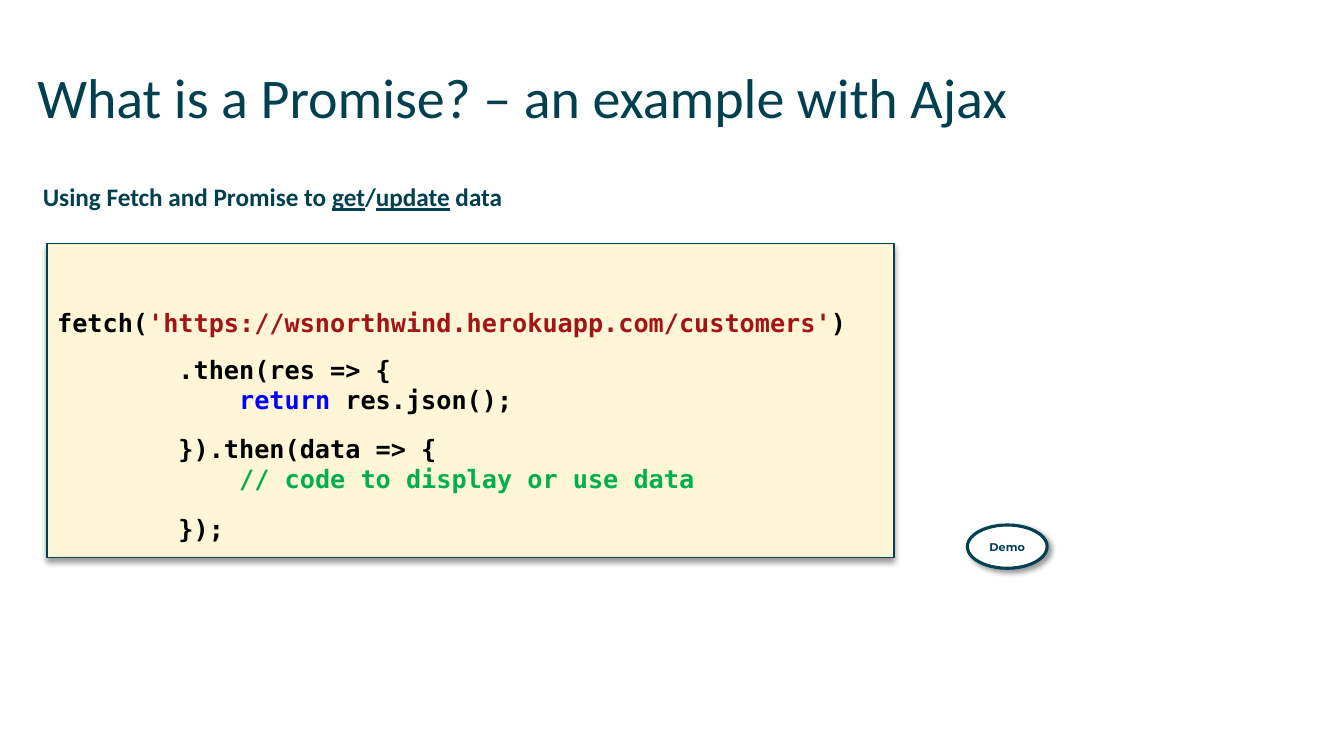
import lxml.etree
import pptx
import pptx.dml.color
import pptx.enum.shapes
import pptx.enum.text
import pptx.oxml.ns
import pptx.util

Cm = pptx.util.Cm
Pt = pptx.util.Pt
SHAPES = pptx.enum.shapes.MSO_SHAPE
ANCHOR = pptx.enum.text.MSO_ANCHOR
ALIGN = pptx.enum.text.PP_ALIGN

TEAL, WHITE, CREAM, BLACK = "004050", "FFFFFF", "FEF6D7", "000000"
STRING, KEYWORD, COMMENT = "A31515", "0000FF", "00B050"


def color(value):
    return pptx.dml.color.RGBColor.from_string(value)


def add_shadow(shape, angle):
    """Give the shape a soft black shadow cast towards angle, in degrees."""
    shape.shadow.inherit = False
    qualified = pptx.oxml.ns.qn
    effects = shape._element.spPr.find(qualified("a:effectLst"))
    shadow = lxml.etree.SubElement(
        effects, qualified("a:outerShdw"), blurRad=str(Pt(4)),
        dist=str(Pt(3)), dir=str(angle * 60000), algn="ctr", rotWithShape="0")
    black = lxml.etree.SubElement(shadow, qualified("a:srgbClr"), val=BLACK)
    lxml.etree.SubElement(black, qualified("a:alpha"), val="40000")


class SlideBuilder:
    """Holds the slide and the text style shared by its elements."""

    def __init__(self, slide):
        self.slide = slide
        self.style = {"name": "Calibri", "size": Pt(18), "bold": True,
                      "color": TEAL}

    def add_runs(self, paragraph, runs, **style):
        """Add (text, changes) runs, each formatted by style plus its changes."""
        for text, changes in runs:
            run = paragraph.add_run()
            run.text = text
            values = {**self.style, **style, **changes}
            run.font.color.rgb = color(values.pop("color"))
            for attribute, value in values.items():
                setattr(run.font, attribute, value)

    def text(self, box, runs, **style):
        frame = self.slide.shapes.add_textbox(*map(Cm, box)).text_frame
        frame.word_wrap = True
        for side in ("left", "top", "right", "bottom"):
            setattr(frame, f"margin_{side}", 0)
        self.add_runs(frame.paragraphs[0], runs, **style)

    def panel(self, kind, box, fill, line_width, shadow_angle):
        """Add an outlined shape with a shadow and return its text frame."""
        shape = self.slide.shapes.add_shape(kind, *map(Cm, box))
        shape.fill.solid()
        shape.fill.fore_color.rgb = color(fill)
        shape.line.color.rgb = color(TEAL)
        shape.line.width = Pt(line_width)
        add_shadow(shape, shadow_angle)
        shape.text_frame.word_wrap = True
        return shape.text_frame

    def code(self, box, lines):
        """Add a code panel; lines are (space before, runs) pairs."""
        frame = self.panel(SHAPES.RECTANGLE, box, CREAM, 1, 90)
        frame.vertical_anchor = ANCHOR.TOP
        frame.margin_top = Cm(1.61)
        for index, (space, runs) in enumerate(lines):
            paragraph = frame.add_paragraph() if index else frame.paragraphs[0]
            paragraph.alignment = ALIGN.LEFT
            paragraph.space_before = Pt(space)
            self.add_runs(paragraph, runs, name="DejaVu Sans Mono", color=BLACK)

    def badge(self, box, label):
        frame = self.panel(SHAPES.OVAL, box, WHITE, 2.25, 45)
        frame.vertical_anchor = ANCHOR.MIDDLE
        frame.paragraphs[0].alignment = ALIGN.CENTER
        self.add_runs(frame.paragraphs[0], [(label, {})],
                      name="Montserrat", size=Pt(8))


def main():
    presentation = pptx.Presentation()
    presentation.slide_width = Cm(33.87)
    presentation.slide_height = Cm(19.05)
    slide = presentation.slides.add_slide(presentation.slide_layouts[6])
    builder = SlideBuilder(slide)

    builder.text((0.94, 1.58, 32, 2.2),
                 [("What is a Promise? – an example with Ajax", {})],
                 size=Pt(40), bold=False)
    underlined = {"underline": True}
    builder.text((1.08, 4.58, 31.8, 0.8), [
        ("Using Fetch and Promise to ", {}), ("get", underlined), ("/", {}),
        ("update", underlined), (" data", {})])
    builder.code((1.19, 6.13, 21.34, 7.92), [
        (0, [("fetch(", {}),
             ("'https://wsnorthwind.herokuapp.com/customers'",
              {"color": STRING}),
             (")", {})]),
        (12.2, [("        .then(res => {", {})]),
        (0, [("            ", {}), ("return ", {"color": KEYWORD}),
             ("res.json();", {})]),
        (12.8, [("        }).then(data => {", {})]),
        (0, [("            ", {}),
             ("// code to display or use data", {"color": COMMENT})]),
        (14, [("        });", {})]),
    ])
    builder.badge((24.38, 13.23, 2.01, 1.09), "Demo")
    presentation.save("out.pptx")


if __name__ == "__main__":
    main()
